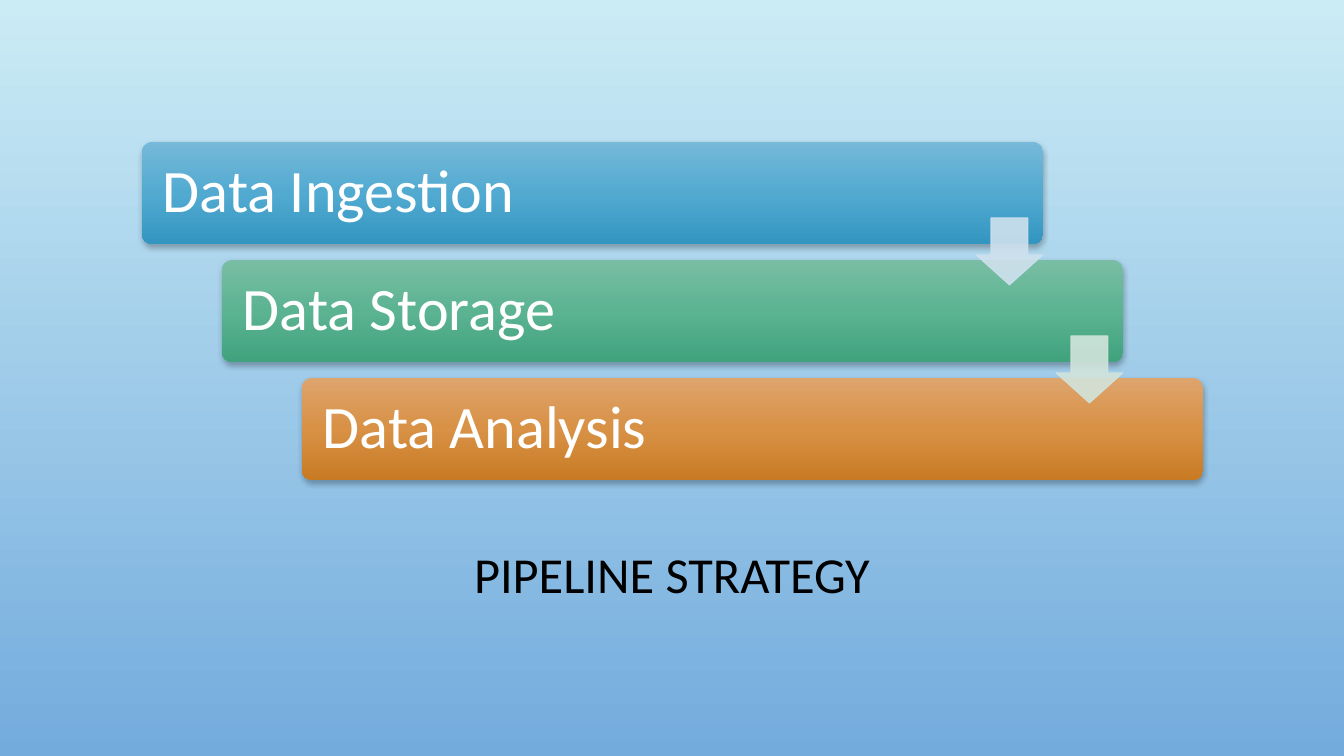
from pptx import Presentation
from pptx.dml.color import RGBColor
from pptx.enum.shapes import MSO_SHAPE
from pptx.enum.text import MSO_ANCHOR, PP_ALIGN
from pptx.oxml import parse_xml
from pptx.oxml.ns import nsdecls
from pptx.util import Pt

# Content
TITLE = "PIPELINE STRATEGY"
STAGES = [("Data Ingestion", "blue"), ("Data Storage", "green"), ("Data Analysis", "orange")]
ARROW_COLORS = ["pale_blue", "pale_green"]

COLORS = {
    "white": "FFFFFF", "black": "000000",
    "sky_top": "CBECF5", "sky_bottom": "73ABDD",
    "blue_light": "76B9D9", "blue_mid": "52AAD1", "blue_dark": "3396C0",
    "green_light": "79BEA4", "green_mid": "5BB392", "green_dark": "40A27E",
    "orange_light": "DEA46D", "orange_mid": "D89145", "orange_dark": "C87B23",
    "pale_blue": "CFE1EE", "pale_green": "D1E4DB",
}

# Layout in px
PAGE_SIZE = (1344, 756)
TITLE_AREA = (101, 506, 1142, 143)
BAR_LEFT, BAR_TOP, BAR_WIDTH, BAR_HEIGHT = 142, 142, 901, 102
STEP_X, STEP_Y = 80, 118
ARROW_SIZE, ARROW_DROP = 67, 76
BAR_INSET = 18

# Formats
TITLE_FORMAT = {"size": 36, "color": "black", "align": PP_ALIGN.CENTER}
BAR_FORMAT = {"size": 43, "color": "white", "align": PP_ALIGN.LEFT}


def px(length):
    return round(length * 914400 / 100.8)


def area(*lengths):
    return [px(length) for length in lengths]


def rgb(name):
    return RGBColor.from_string(COLORS[name])


def set_gradient(fill, element, names):
    """Fill with evenly spaced stops from top to bottom."""
    fill.gradient()
    gradient = element.xpath(".//a:gradFill")[0]
    stops = "".join(
        f'<a:gs pos="{100000 * index // (len(names) - 1)}">'
        f'<a:srgbClr val="{COLORS[name]}"/></a:gs>'
        for index, name in enumerate(names))
    gradient.clear()
    gradient.append(parse_xml(f'<a:gsLst {nsdecls("a")}>{stops}</a:gsLst>'))
    gradient.append(parse_xml(f'<a:lin {nsdecls("a")} ang="5400000" scaled="0"/>'))


def add_shadow(shape):
    shape._element.spPr.xpath("a:effectLst")[0].append(parse_xml(
        f'<a:outerShdw {nsdecls("a")} blurRad="{Pt(4)}" dist="{Pt(2)}" dir="5400000" '
        f'rotWithShape="0"><a:srgbClr val="{COLORS["black"]}">'
        f'<a:alpha val="28000"/></a:srgbClr></a:outerShdw>'))


def write(shape, text, style):
    frame = shape.text_frame
    frame.word_wrap = True
    frame.vertical_anchor = MSO_ANCHOR.MIDDLE
    para = frame.paragraphs[0]
    for name, value in {"alignment": style["align"], "line_spacing": 0.9}.items():
        setattr(para, name, value)
    span = para.add_run()
    span.text = text
    for name, value in {"name": "Calibri", "size": Pt(style["size"])}.items():
        setattr(span.font, name, value)
    span.font.color.rgb = rgb(style["color"])


def add_bar(page, index, text, hue):
    bar = page.shapes.add_shape(
        MSO_SHAPE.ROUNDED_RECTANGLE,
        *area(BAR_LEFT + index * STEP_X, BAR_TOP + index * STEP_Y, BAR_WIDTH, BAR_HEIGHT))
    bar.adjustments[0] = 0.1
    bar.line.fill.background()
    bar.shadow.inherit = False
    set_gradient(bar.fill, bar._element, [f"{hue}_{tone}" for tone in ("light", "mid", "dark")])
    add_shadow(bar)
    for side in ("left", "top", "right", "bottom"):
        setattr(bar.text_frame, f"margin_{side}", px(BAR_INSET))
    write(bar, text, BAR_FORMAT)


def add_arrow(page, index, color):
    right = BAR_LEFT + BAR_WIDTH + index * STEP_X
    top = BAR_TOP + ARROW_DROP + index * STEP_Y
    arrow = page.shapes.add_shape(
        MSO_SHAPE.DOWN_ARROW, *area(right - ARROW_SIZE, top, ARROW_SIZE, ARROW_SIZE))
    arrow.adjustments[0], arrow.adjustments[1] = 0.55, 0.45
    arrow.shadow.inherit = False
    arrow.line.width = Pt(0.75)
    for fill in (arrow.fill, arrow.line.fill):
        fill.solid()
        fill.fore_color.rgb = rgb(color)
    for tint in arrow._element.spPr.xpath(".//a:srgbClr"):
        tint.append(parse_xml(f'<a:alpha {nsdecls("a")} val="90000"/>'))


def main():
    deck = Presentation()
    deck.slide_width, deck.slide_height = area(*PAGE_SIZE)
    page = deck.slides.add_slide(deck.slide_layouts[6])
    set_gradient(page.background.fill, page._element, ["sky_top", "sky_bottom"])

    # Title below the steps
    write(page.shapes.add_textbox(*area(*TITLE_AREA)), TITLE, TITLE_FORMAT)

    # Staggered bars, then the arrows over them
    for index, (text, hue) in enumerate(STAGES):
        add_bar(page, index, text, hue)
    for index, color in enumerate(ARROW_COLORS):
        add_arrow(page, index, color)

    deck.save("out.pptx")


if __name__ == "__main__":
    main()
